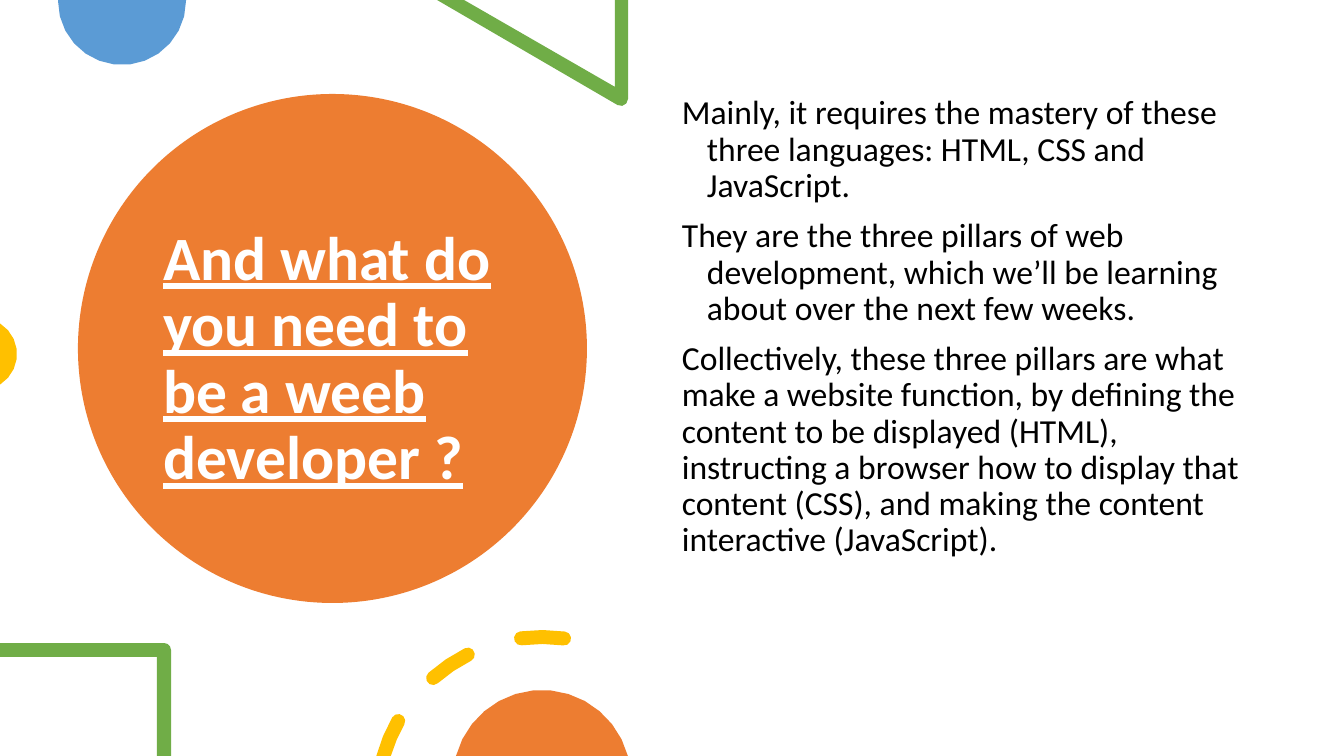
import math
from dataclasses import dataclass

import pptx
import pptx.dml.color
import pptx.enum.shapes
import pptx.enum.text
import pptx.util

PAGE_WIDTH, PAGE_HEIGHT = 1344, 756
EMU_PER_PIXEL = 12192000 / PAGE_WIDTH
ARC_TOLERANCE = 0.5
FONT = "Calibri"
COLOURS = {
    "orange": "ED7D31",
    "blue": "5B9BD5",
    "green": "70AD47",
    "yellow": "FFC000",
    "white": "FFFFFF",
    "black": "000000",
}
Point = tuple[float, float]


@dataclass(frozen=True)
class Arc:
    """A circular arc in pixels; angles run clockwise from the right."""
    x: float
    y: float
    radius: int
    start: float
    end: float

    def points(self) -> list[Point]:
        """Sample the arc just finely enough for the tolerance."""
        widest = 2 * math.degrees(math.acos(1 - ARC_TOLERANCE / self.radius))
        steps = math.ceil(abs(self.end - self.start) / widest)
        angles = [math.radians(self.start + (self.end - self.start) * step / steps)
                  for step in range(steps + 1)]
        return [(self.x + self.radius * math.cos(angle),
                 self.y + self.radius * math.sin(angle)) for angle in angles]


@dataclass(frozen=True)
class Decoration:
    """A filled shape of one or more outlines at the edge of the page."""
    colour: str
    outlines: list[list[Point]]


@dataclass(frozen=True)
class Statement:
    """A body paragraph with its hanging indent in pixels."""
    text: str
    hanging: int = 0


def emu(pixels: float) -> int:
    """Turn pixels into EMU."""
    return round(pixels * EMU_PER_PIXEL)


def rgb(name: str) -> pptx.dml.color.RGBColor:
    """Look up a named colour."""
    return pptx.dml.color.RGBColor.from_string(COLOURS[name])


def paint(shape, colour: str) -> None:
    """Give a shape a flat fill without line or shadow."""
    shape.shadow.inherit = False
    shape.fill.solid()
    shape.fill.fore_color.rgb = rgb(colour)
    shape.line.fill.background()


def place(shape, left: int, top: int, width: int, height: int) -> None:
    """Move and size a shape in pixels."""
    shape.left, shape.top = emu(left), emu(top)
    shape.width, shape.height = emu(width), emu(height)


def dash(start: float, end: float) -> list[Point]:
    """Outline a round-ended dash of the ring, cut flat at the page's bottom edge."""
    x, y, radius, half = 542, 802, 165, 7

    def edge(size: int) -> list[Point]:
        """Sample one side of the dash above the bottom edge."""
        cut = 180 + math.degrees(math.asin((y - PAGE_HEIGHT) / size))
        return Arc(x, y, size, max(start, cut), end).points()

    def cap(angle: float, turn: int) -> list[Point]:
        """Sample the round end at an angle, without its end points."""
        centre_x = x + radius * math.cos(math.radians(angle))
        centre_y = y + radius * math.sin(math.radians(angle))
        if centre_y > PAGE_HEIGHT:
            return []
        return Arc(centre_x, centre_y, half, angle + turn,
                   angle + turn + 180).points()[1:-1]

    return (edge(radius + half) + cap(end, 0)
            + edge(radius - half)[::-1] + cap(start, 180))


def draw_decoration(page, decoration: Decoration) -> None:
    """Draw a decoration as one freeform."""
    outlines = [[(emu(x), emu(y)) for x, y in outline]
                for outline in decoration.outlines]
    builder = page.shapes.build_freeform(*outlines[0][0])
    for index, (first, *rest) in enumerate(outlines):
        if index:
            builder.move_to(*first)
        builder.add_line_segments(rest, close=True)
    paint(builder.convert_to_shape(), decoration.colour)


def style(para, size: int, colour: str) -> None:
    """Set font, line spacing and left alignment of a paragraph."""
    para.font.name, para.font.size = FONT, pptx.util.Pt(size)
    para.font.color.rgb = rgb(colour)
    para.line_spacing = 0.9
    para.alignment = pptx.enum.text.PP_ALIGN.LEFT


def draw_title(page, text: str) -> None:
    """Format the title and put the large circle behind it."""
    title = page.shapes.title
    place(title, 153, 136, 357, 448)
    frame = title.text_frame
    frame.text = text
    frame.word_wrap = True
    frame.auto_size = pptx.enum.text.MSO_AUTO_SIZE.NONE
    frame.vertical_anchor = pptx.enum.text.MSO_ANCHOR.MIDDLE
    para = frame.paragraphs[0]
    style(para, 44, "white")
    para.font.bold = para.font.underline = True
    circle = page.shapes.add_shape(
        pptx.enum.shapes.MSO_SHAPE.OVAL, emu(78), emu(94), emu(509), emu(509))
    paint(circle, "orange")
    title.element.addprevious(circle.element)


def draw_body(page, statements: list[Statement]) -> None:
    """Write the statements in the right half of the page."""
    box = page.shapes.add_textbox(0, 0, 0, 0)
    place(box, 672, 91, 580, 539)
    frame = box.text_frame
    frame.word_wrap = True
    for index, statement in enumerate(statements):
        para = frame.add_paragraph() if index else frame.paragraphs[0]
        para.text = statement.text
        style(para, 24, "black")
        para.space_before = pptx.util.Pt(10)
        properties = para._p.get_or_add_pPr()
        properties.set("marL", str(emu(statement.hanging)))
        properties.set("indent", str(-emu(statement.hanging)))


DECORATIONS = [
    Decoration("blue", [[(186, 0), *Arc(122, 1, 64, 0, 180).points(), (58, 0)]]),
    Decoration("green", [[(628, 0), (615, 0), (615, 87), (464, 0), (437, 0),
                          *Arc(621, 99, 7, 120, 0).points()]]),
    Decoration("yellow", [Arc(-19, 354, 36, -58, 58).points()]),
    Decoration("green", [[(0, 657), (0, 643), *Arc(164, 650, 7, -90, 0).points(),
                          (171, PAGE_HEIGHT), (157, PAGE_HEIGHT), (157, 657)]]),
    Decoration("yellow", [dash(190, 209.4), dash(228.7, 243.3), dash(262.7, 277.7)]),
    Decoration("orange", [Arc(542, 779, 89, 195, 345).points()]),
]
STATEMENTS = [
    Statement("Mainly, it requires the mastery of these three languages: "
              "HTML, CSS and JavaScript.", 25),
    Statement("They are the three pillars of web development, which we’ll be "
              "learning about over the next few weeks.", 25),
    Statement("Collectively, these three pillars are what make a website "
              "function, by defining the content to be displayed (HTML), "
              "instructing a browser how to display that content (CSS), and "
              "making the content interactive (JavaScript)."),
]

deck = pptx.Presentation()
deck.slide_width, deck.slide_height = emu(PAGE_WIDTH), emu(PAGE_HEIGHT)
page = deck.slides.add_slide(deck.slide_layouts.get_by_name("Title Only"))
draw_title(page, "And what do you need to be a weeb developer ?")
for decoration in DECORATIONS:
    draw_decoration(page, decoration)
draw_body(page, STATEMENTS)
deck.save("out.pptx")
